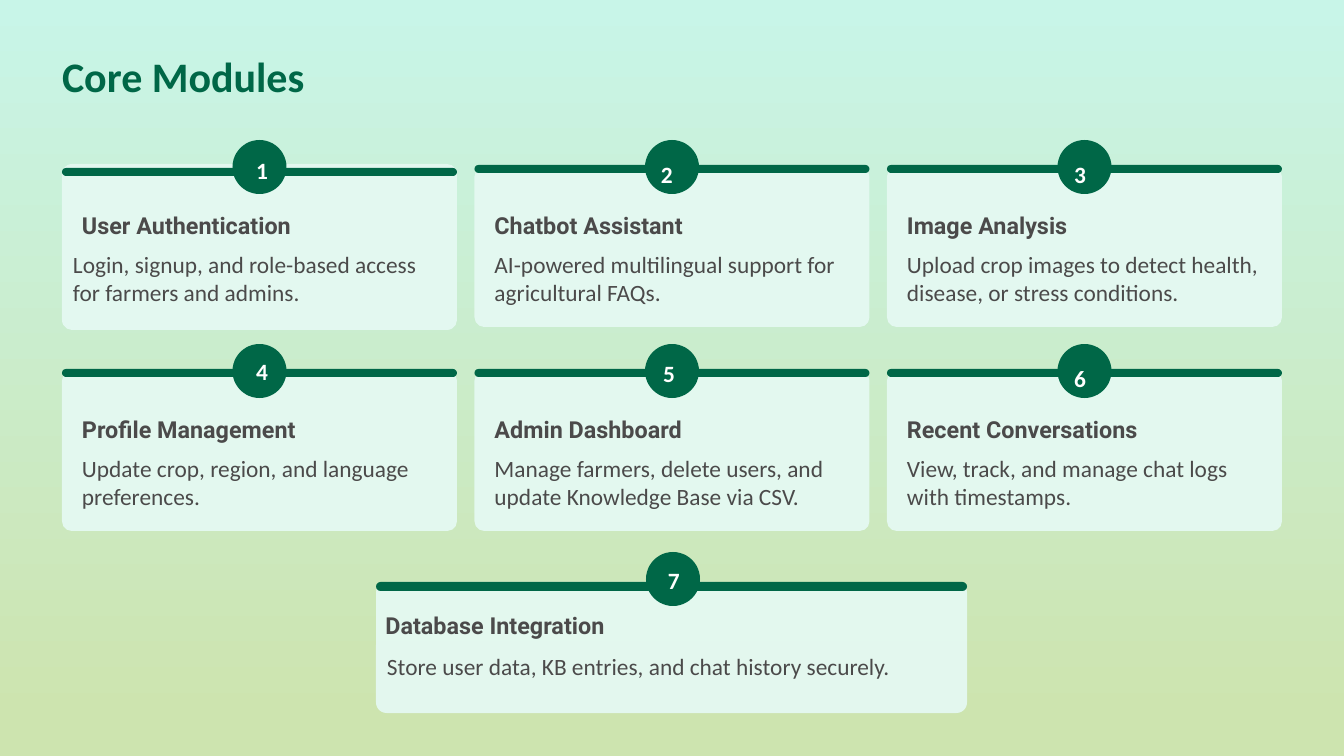
from lxml import etree
from pptx import Presentation
from pptx.dml.color import RGBColor
from pptx.enum.shapes import MSO_SHAPE
from pptx.enum.text import MSO_ANCHOR, MSO_AUTO_SIZE, PP_ALIGN
from pptx.oxml.ns import qn
from pptx.util import Emu, Pt

ROUNDED = MSO_SHAPE.ROUNDED_RECTANGLE
TOP = MSO_ANCHOR.TOP
LEFT, CENTER = PP_ALIGN.LEFT, PP_ALIGN.CENTER
NO_AUTOFIT = MSO_AUTO_SIZE.NONE

PX = 914400 / 84
COLORS = {
    "green": "006747",
    "card": "E5F9F2",
    "text": "4B4A4A",
    "white": "FFFFFF",
    "sky": "C8F5E8",
    "field": "CDE4AF",
}
COLUMNS = 3
GRID_LEFT, GRID_TOP = 62, 167
COLUMN_PITCH, ROW_PITCH = 412.5, 204
CARD_WIDTH, CARD_HEIGHT = 395, 160
BADGE_SIZE = 54

MODULES = [
    ("User Authentication",
     "Login, signup, and role-based access for farmers and admins.",
     (256, 150),
     {"card_shift": -3, "extra_height": 6, "bar_shift": 1, "body_shift": -9}),
    ("Chatbot Assistant",
     "AI-powered multilingual support for agricultural FAQs.",
     (661, 154), {}),
    ("Image Analysis",
     "Upload crop images to detect health, disease, or stress conditions.",
     (1074, 154), {}),
    ("Profile Management",
     "Update crop, region, and language preferences.",
     (256, 351), {}),
    ("Admin Dashboard",
     "Manage farmers, delete users, and update Knowledge Base via CSV.",
     (663, 353), {}),
    ("Recent Conversations",
     "View, track, and manage chat logs with timestamps.",
     (1074, 358), {}),
]


def px(value):
    return Emu(round(value * PX))


def rgb(name):
    return RGBColor.from_string(COLORS[name])


def paint_background(page):
    fill = page.background.fill
    fill.gradient()
    fill.gradient_angle = 270
    for stop, color, position in zip(fill.gradient_stops, ("sky", "field"), (0, 0.95)):
        stop.color.rgb = rgb(color)
        stop.position = position


def write(box, text, size=20, font="Calibri", color="text", bold=False,
          leading=24, align=LEFT):
    frame = box.text_frame
    frame.margin_left = frame.margin_top = 0
    frame.margin_right = frame.margin_bottom = 0
    frame.word_wrap = True
    frame.auto_size = NO_AUTOFIT
    frame.vertical_anchor = TOP
    para = frame.paragraphs[0]
    para.alignment = align
    para.line_spacing = Pt(leading)
    para.space_before = Pt(0)
    span = para.add_run()
    span.text = text
    span.font.size = Pt(size)
    span.font.name = font
    span.font.bold = bold
    span.font.color.rgb = rgb(color)


def add_text(page, left, top, width, height, text, **style):
    box = page.shapes.add_textbox(px(left), px(top), px(width), px(height))
    write(box, text, **style)


def add_panel(page, left, top, width, height, color, rounding=0.5, opacity=100):
    panel = page.shapes.add_shape(ROUNDED, px(left), px(top), px(width), px(height))
    panel.adjustments[0] = rounding
    panel.shadow.inherit = False
    panel.fill.solid()
    panel.fill.fore_color.rgb = rgb(color)
    panel.line.fill.background()
    if opacity < 100:
        color_node = panel.fill._xPr.find(".//" + qn("a:srgbClr"))
        etree.SubElement(color_node, qn("a:alpha"), val=str(opacity * 1000))


def add_badge(page, left, top, number, number_at):
    add_panel(page, left, top, BADGE_SIZE, BADGE_SIZE, "green")
    add_text(page, *number_at, 21, 27, str(number), color="white", bold=True, leading=29)


def add_heading(page, left, top, width, text, align=LEFT):
    add_text(page, left, top, width, 28, text, font="Roboto", bold=True,
             leading=23.5, align=align)


def add_module(page, index, heading, body, number_at, card_shift=0,
               extra_height=0, bar_shift=-2, body_shift=0):
    row, column = divmod(index, COLUMNS)
    left = GRID_LEFT + column * COLUMN_PITCH
    top = GRID_TOP + row * ROW_PITCH
    add_panel(page, left, top + card_shift, CARD_WIDTH, CARD_HEIGHT + extra_height,
              "card", rounding=0.06, opacity=95)
    add_panel(page, left, top + bar_shift, CARD_WIDTH, 8, "green")
    add_badge(page, left + (CARD_WIDTH - BADGE_SIZE) / 2, top - 27, index + 1, number_at)
    add_heading(page, left + 20, top + 45, 354, heading)
    add_text(page, left + 20 + body_shift, top + 83, 354 - body_shift, 57, body)


def add_database_module(page):
    left, top, width = 376, 582, 591
    add_panel(page, left, top, width, 131, "card", rounding=0.08, opacity=95)
    add_panel(page, left, top, width, 9, "green")
    add_badge(page, 646, 552, len(MODULES) + 1, (668, 560))
    add_heading(page, left, 612, 238, "Database Integration", align=CENTER)
    add_text(page, 387, 652, 570, 29,
             "Store user data, KB entries, and chat history securely.")


def add_title(page, text):
    title = page.shapes.title
    title.left, title.top = px(62), px(45)
    title.width, title.height = px(445), px(55)
    write(title, text, size=36, color="green", bold=True, leading=47.5)


def main():
    deck = Presentation()
    deck.slide_width, deck.slide_height = px(1344), px(756)
    page = deck.slides.add_slide(deck.slide_layouts[5])
    paint_background(page)
    add_title(page, "Core Modules")
    for index, (heading, body, number_at, offsets) in enumerate(MODULES):
        add_module(page, index, heading, body, number_at, **offsets)
    add_database_module(page)
    deck.save("out.pptx")


if __name__ == "__main__":
    main()
